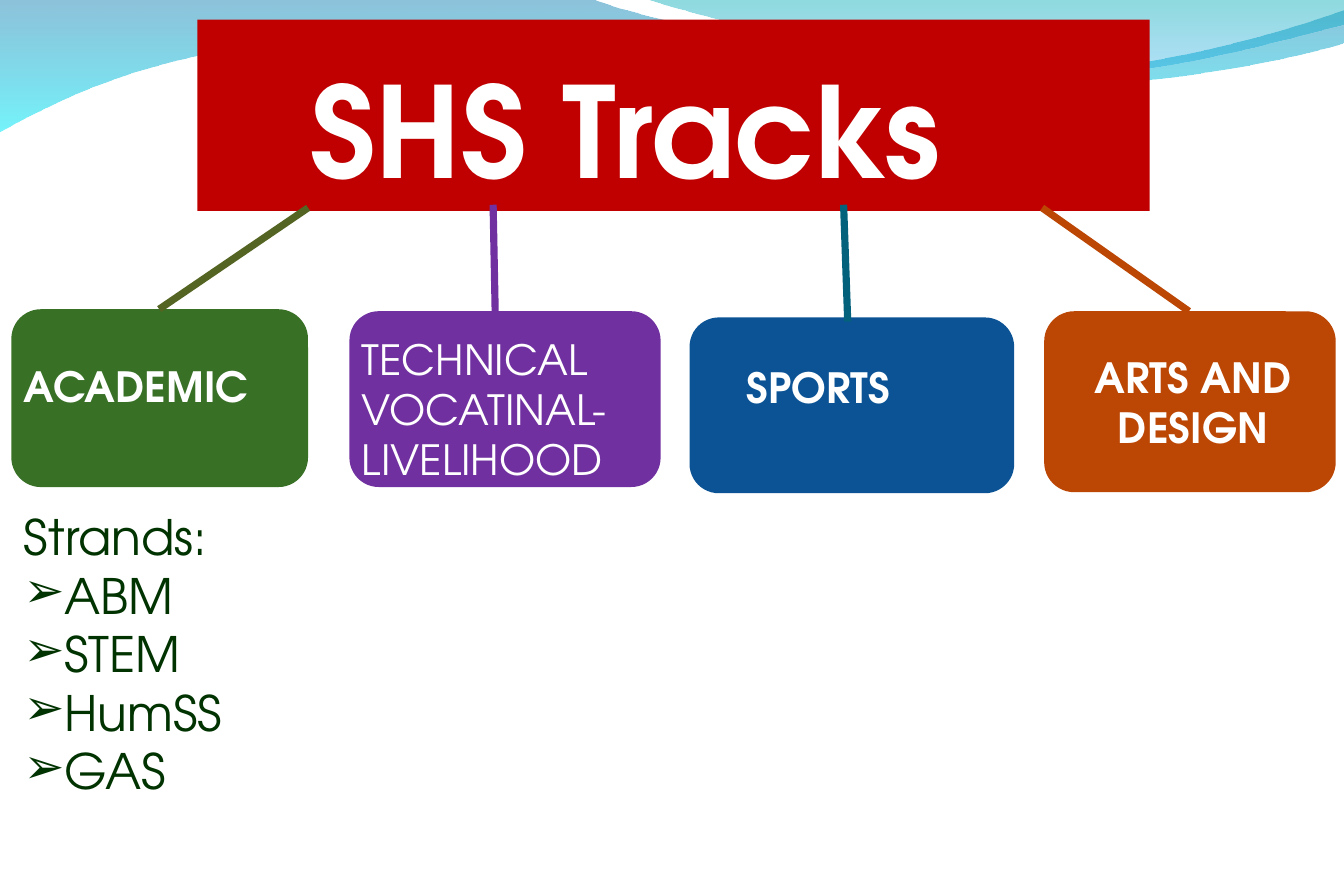
from lxml.etree import SubElement
from pptx import Presentation
from pptx.dml.color import RGBColor
from pptx.enum.shapes import MSO_CONNECTOR as CONNECTOR, MSO_SHAPE as SHAPE
from pptx.enum.text import PP_ALIGN as ALIGN
from pptx.oxml import parse_xml
from pptx.oxml.ns import nsdecls, qn
from pptx.util import Inches, Pt

FONT = "TeX Gyre Adventor"
WHITE = RGBColor(0xFF, 0xFF, 0xFF)
RED = RGBColor(0xC0, 0x00, 0x00)
GREEN = RGBColor(0x38, 0x70, 0x26)
OLIVE = RGBColor(0x54, 0x64, 0x22)
PURPLE = RGBColor(0x70, 0x30, 0xA0)
BLUE = RGBColor(0x0B, 0x53, 0x95)
TEAL = RGBColor(0x04, 0x61, 0x7B)
ORANGE = RGBColor(0xBC, 0x46, 0x04)
DARK_GREEN = RGBColor(0x00, 0x33, 0x00)
SKY_TOP = RGBColor(0x00, 0x79, 0xAF)
SKY_BOTTOM = RGBColor(0x00, 0xEB, 0xF8)
SEA_TOP = RGBColor(0x00, 0xAD, 0xB6)
SEA_BOTTOM = RGBColor(0x00, 0x9B, 0xE5)

prs = Presentation()
prs.slide_width, prs.slide_height = Inches(13), Inches(8.5)
slide = prs.slides.add_slide(prs.slide_layouts[6])
shapes = slide.shapes


def add_block(preset, left, top, width, height, color):
    block = shapes.add_shape(preset, Inches(left), Inches(top), Inches(width), Inches(height))
    block.shadow.inherit = False
    block.fill.solid()
    block.fill.fore_color.rgb = color
    block.line.fill.background()


def add_text(left, top, width, height, lines, size, color, bold=False, align=ALIGN.LEFT):
    box = shapes.add_textbox(Inches(left), Inches(top), Inches(width), Inches(height))
    frame = box.text_frame
    frame.word_wrap = True
    frame.margin_left = frame.margin_right = Inches(0.12)
    frame.margin_top = frame.margin_bottom = Inches(0.06)
    for index, line in enumerate(lines):
        paragraph = frame.paragraphs[0] if index == 0 else frame.add_paragraph()
        paragraph.alignment = align
        run = paragraph.add_run()
        run.text = line
        run.font.name = FONT
        run.font.size = Pt(size)
        run.font.bold = bold
        run.font.color.rgb = color
    return frame


left_wave = [
    [(5.72, -0.01)],
    [(6.18, 0.19), (8.63, 0.71), (9.86, 0.71)],
    [(11.09, 0.71), (12.46, 0.29), (13, 0.1)],
    [(13.01, 0.41)],
    [(12.78, 0.5), (11.31, 0.86), (9.7, 0.85)],
    [(8.08, 0.85), (4.96, 0.31), (3.34, 0.39)],
    [(1.68, 0.4), (0.6, 0.94), (-0.01, 1.28)],
]
right_wave = [
    [(6.62, 0.13), (8.87, 0.7), (9.99, 0.74)],
    [(11.12, 0.78), (12.5, 0.36), (13, 0.24)],
    [(13, 0)],
]
waves = [
    ((0, -0.01), left_wave, (SKY_TOP, 45), (SKY_BOTTOM, 55)),
    ((6.23, -0.01), right_wave, (SEA_TOP, 45), (SEA_BOTTOM, 30)),
]
for (start_x, start_y), segments, top_stop, bottom_stop in waves:
    corners = [(Inches(x), Inches(y)) for x, y in (segment[-1] for segment in segments)]
    builder = shapes.build_freeform(Inches(start_x), Inches(start_y))
    builder.add_line_segments(corners, close=True)
    wave = builder.convert_to_shape()
    wave.shadow.inherit = False
    wave.line.fill.background()

    for edge, segment in zip(list(wave.element.spPr.iter(qn("a:lnTo"))), segments):
        if len(segment) == 3:
            edge.addnext(curve := parse_xml(f'<a:cubicBezTo {nsdecls("a")}/>'))
            for x, y in segment:
                SubElement(curve, qn("a:pt"), x=str(Inches(x) - wave.left), y=str(Inches(y) - wave.top))
            edge.getparent().remove(edge)

    stops = "".join(
        f'<a:gs pos="{position}"><a:srgbClr val="{color}"><a:alpha val="{alpha * 1000}"/></a:srgbClr></a:gs>'
        for position, (color, alpha) in ((0, top_stop), (100000, bottom_stop))
    )
    gradient = parse_xml(
        f'<a:gradFill {nsdecls("a")}><a:gsLst>{stops}</a:gsLst><a:lin ang="5400000" scaled="0"/></a:gradFill>'
    )
    wave.element.spPr.find(qn("a:custGeom")).addnext(gradient)

track_blocks = [
    (10.1, 3.01, 2.82, 1.75, ORANGE),
    (6.67, 3.07, 3.14, 1.7, BLUE),
    (3.38, 3.01, 3.01, 1.7, PURPLE),
    (0.11, 2.99, 2.87, 1.72, GREEN),
]
for track_block in track_blocks:
    add_block(SHAPE.ROUNDED_RECTANGLE, *track_block)

track_labels = [
    (7.1, 3.44, 2.26, 0.61, "SPORTS", True, ALIGN.LEFT),
    (3.38, 3.17, 3.14, 1.57, "TECHNICAL VOCATINAL-LIVELIHOOD", False, ALIGN.LEFT),
    (0.11, 3.43, 2.87, 0.61, "ACADEMIC", True, ALIGN.LEFT),
    (9.97, 3.34, 3.14, 1.09, "ARTS AND DESIGN", True, ALIGN.CENTER),
]
for left, top, width, height, label, bold, align in track_labels:
    add_text(left, top, width, height, [label], 29, WHITE, bold, align)

add_block(SHAPE.RECTANGLE, 1.91, 0.19, 9.21, 1.85, RED)
title = add_text(2.18, 0.44, 8.74, 3.06, ["SHS Tracks"], 88, WHITE, True)
title_properties = title.paragraphs[0]._p.get_or_add_pPr()
title_properties.set("marL", str(Inches(0.7)))
title_properties.set("indent", "0")

branches = [
    (2.98, 2.01, 1.54, 2.99, OLIVE),
    (4.77, 1.98, 4.79, 3.02, PURPLE),
    (8.16, 1.98, 8.2, 3.11, TEAL),
    (10.08, 2.01, 11.5, 3.01, ORANGE),
]
for *ends, color in branches:
    branch = shapes.add_connector(CONNECTOR.STRAIGHT, *map(Inches, ends))
    branch.line.color.rgb = color
    branch.line.width = Pt(5)
    SubElement(branch.element.spPr, qn("a:effectLst"))

strands = add_text(0.11, 4.84, 2.6, 2.96, ["Strands:", "ABM", "STEM", "HumSS", "GAS"], 34, DARK_GREEN)
for strand in strands.paragraphs[1:]:
    properties = strand._p.get_or_add_pPr()
    properties.set("marL", "0")
    properties.set("indent", "0")
    bullet_color = SubElement(properties, qn("a:buClr"))
    SubElement(bullet_color, qn("a:srgbClr"), val=str(DARK_GREEN))
    SubElement(properties, qn("a:buFont"), typeface=FONT)
    SubElement(properties, qn("a:buChar"), char="➢")

prs.save("out.pptx")
